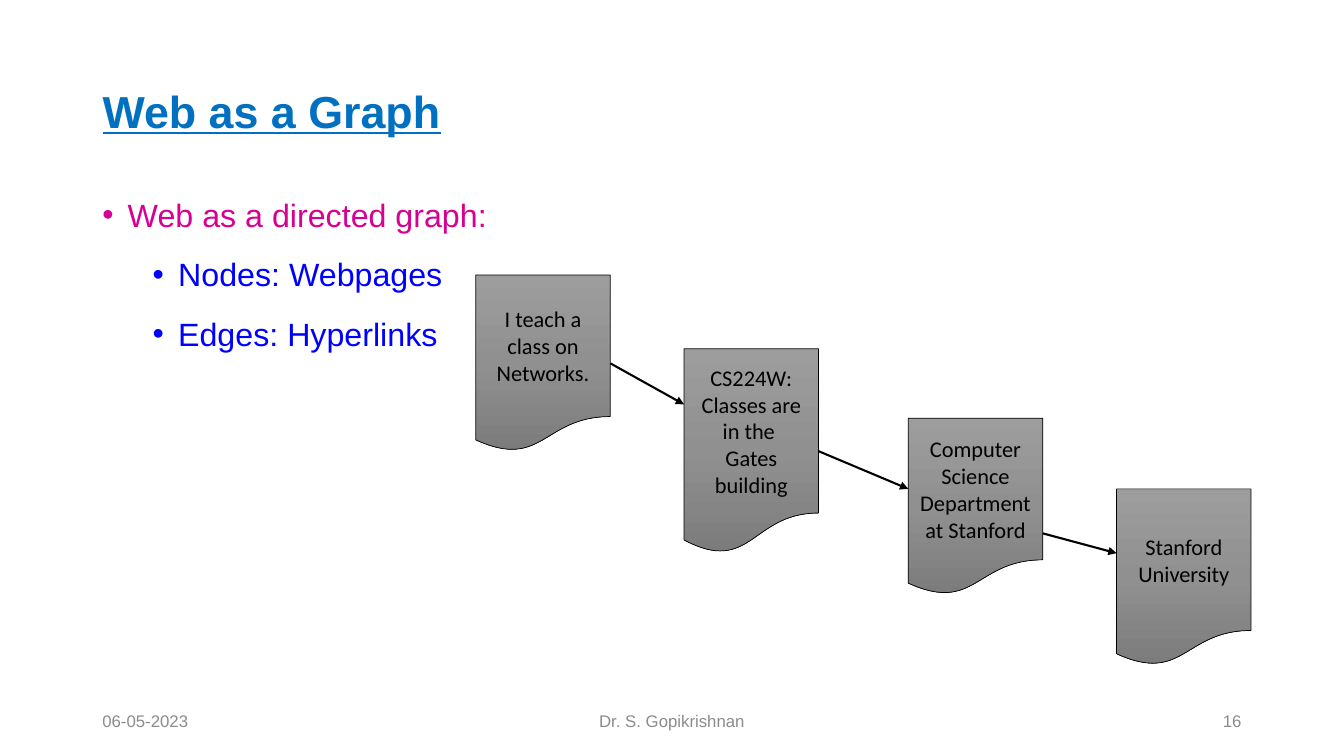
from copy import deepcopy

from lxml.etree import SubElement
from pptx import Presentation
from pptx.dml.color import RGBColor
from pptx.enum.shapes import MSO_CONNECTOR as Connector, MSO_SHAPE as Shape
from pptx.enum.text import MSO_ANCHOR as Anchor, MSO_AUTO_SIZE as AutoSize, PP_ALIGN as Align
from pptx.oxml.ns import qn
from pptx.util import Cm, Pt

TITLE = "Web as a Graph"
BULLETS = [
    ("Web as a directed graph:", 0),
    ("Nodes: Webpages", 1),
    ("Edges: Hyperlinks", 1),
]
FOOTERS = [
    ("06-05-2023", 2.33, 7.62, Align.LEFT),
    ("Dr. S. Gopikrishnan", 11.22, 11.43, Align.CENTER),
    ("16", 23.92, 7.62, Align.RIGHT),
]
WEBPAGES = [
    ("I teach a class on Networks.", 11.99, 6.93, 4.45),
    ("CS224W: Classes are in the \vGates building", 17.24, 8.79, 5.16),
    ("Computer Science Department at Stanford", 22.89, 10.54, 4.45),
    ("Stanford University", 28.14, 12.32, 4.45),
]
HYPERLINKS = [(9.15, 10.19), (11.37, 12.32), (13.44, 13.94)]
PAGE_WIDTH = 3.39
THEME = {
    "title": ("Arial", 32, "0070C0"),
    "levels": [("Arial", 23, "D60093"), ("Arial", 23, "0000FF")],
    "footer": ("Arial", 12, "8C8C8C"),
    "page": ("Calibri", 16, "000000"),
    "gradient": [(0, "9D9D9D"), (0.5, "909090"), (1, "7C7C7C")],
    "line": "000000",
}


def style(paragraph, look):
    face, size, color = look
    for run in paragraph.runs:
        run.font.name = face
        run.font.size = Pt(size)
        run.font.color.rgb = RGBColor.from_string(color)


def add_bullet(paragraph, level):
    paragraph.level = level
    props = paragraph._p.get_or_add_pPr()
    props.set("marL", str(Cm(0.64 + 1.27 * level)))
    props.set("indent", str(-Cm(0.64)))
    SubElement(props, qn("a:buFont"), typeface="Arial")
    SubElement(props, qn("a:buChar"), char="•")


def add_text_box(slide, left, top, width, height):
    frame = slide.shapes.add_textbox(Cm(left), Cm(top), Cm(width), Cm(height)).text_frame
    frame.word_wrap = True
    return frame


def add_title(slide):
    title = slide.shapes.title
    title.left, title.top, title.width, title.height = Cm(2.33), Cm(1.02), Cm(29.21), Cm(3.68)
    frame = title.text_frame
    frame.text = TITLE
    frame.auto_size = AutoSize.NONE
    frame.vertical_anchor = Anchor.MIDDLE
    heading = frame.paragraphs[0]
    heading.alignment = Align.LEFT
    heading.line_spacing = 0.9
    style(heading, THEME["title"])
    heading.runs[0].font.bold = True
    heading.runs[0].font.underline = True


def add_bullets(slide):
    frame = add_text_box(slide, 2.33, 4.7, 29.21, 12.47)
    frame.text = "\n".join(text for text, _ in BULLETS)
    for index, (paragraph, (_, level)) in enumerate(zip(frame.paragraphs, BULLETS)):
        add_bullet(paragraph, level)
        paragraph.line_spacing = 1.1
        paragraph.space_before = Pt(6 if index else 0)
        paragraph.space_after = Pt(6)
        style(paragraph, THEME["levels"][level])


def add_footers(slide):
    for text, left, width, alignment in FOOTERS:
        frame = add_text_box(slide, left, 17.65, width, 1.02)
        frame.text = text
        frame.vertical_anchor = Anchor.MIDDLE
        frame.paragraphs[0].alignment = alignment
        style(frame.paragraphs[0], THEME["footer"])


def fill_gradient(page):
    page.fill.gradient()
    page.fill.gradient_angle = 270
    stops = page._element.spPr.find(".//" + qn("a:gsLst"))
    stops.insert(1, deepcopy(stops[0]))
    for stop, (position, color) in zip(page.fill.gradient_stops, THEME["gradient"]):
        stop.position = position
        stop.color.rgb = RGBColor.from_string(color)


def add_webpage(slide, text, left, top, height):
    page = slide.shapes.add_shape(
        Shape.FLOWCHART_DOCUMENT, Cm(left), Cm(top), Cm(PAGE_WIDTH), Cm(height))
    page.shadow.inherit = False
    fill_gradient(page)
    page.line.color.rgb = RGBColor.from_string(THEME["line"])
    page.line.width = Pt(0.5)
    frame = page.text_frame
    frame.text = text
    frame.word_wrap = True
    frame.vertical_anchor = Anchor.MIDDLE
    frame.paragraphs[0].alignment = Align.CENTER
    style(frame.paragraphs[0], THEME["page"])
    return page


def add_hyperlink(slide, source, target, start, end):
    link = slide.shapes.add_connector(
        Connector.STRAIGHT, source.left + source.width, Cm(start), target.left, Cm(end))
    if abs(source.top + source.height // 2 - Cm(start)) < Cm(0.05):
        link.begin_connect(source, 3)
    link.line.color.rgb = RGBColor.from_string(THEME["line"])
    link.line.width = Pt(1.5)
    SubElement(link.line._get_or_add_ln(), qn("a:tailEnd"), type="triangle")
    SubElement(link._element.spPr, qn("a:effectLst"))


def main():
    deck = Presentation()
    deck.slide_width, deck.slide_height = Cm(33.87), Cm(19.05)
    slide = deck.slides.add_slide(deck.slide_layouts[5])
    add_title(slide)
    add_bullets(slide)
    add_footers(slide)
    pages = [add_webpage(slide, *webpage) for webpage in WEBPAGES]
    for source, target, (start, end) in zip(pages, pages[1:], HYPERLINKS):
        add_hyperlink(slide, source, target, start, end)
    deck.save("out.pptx")


if __name__ == "__main__":
    main()
